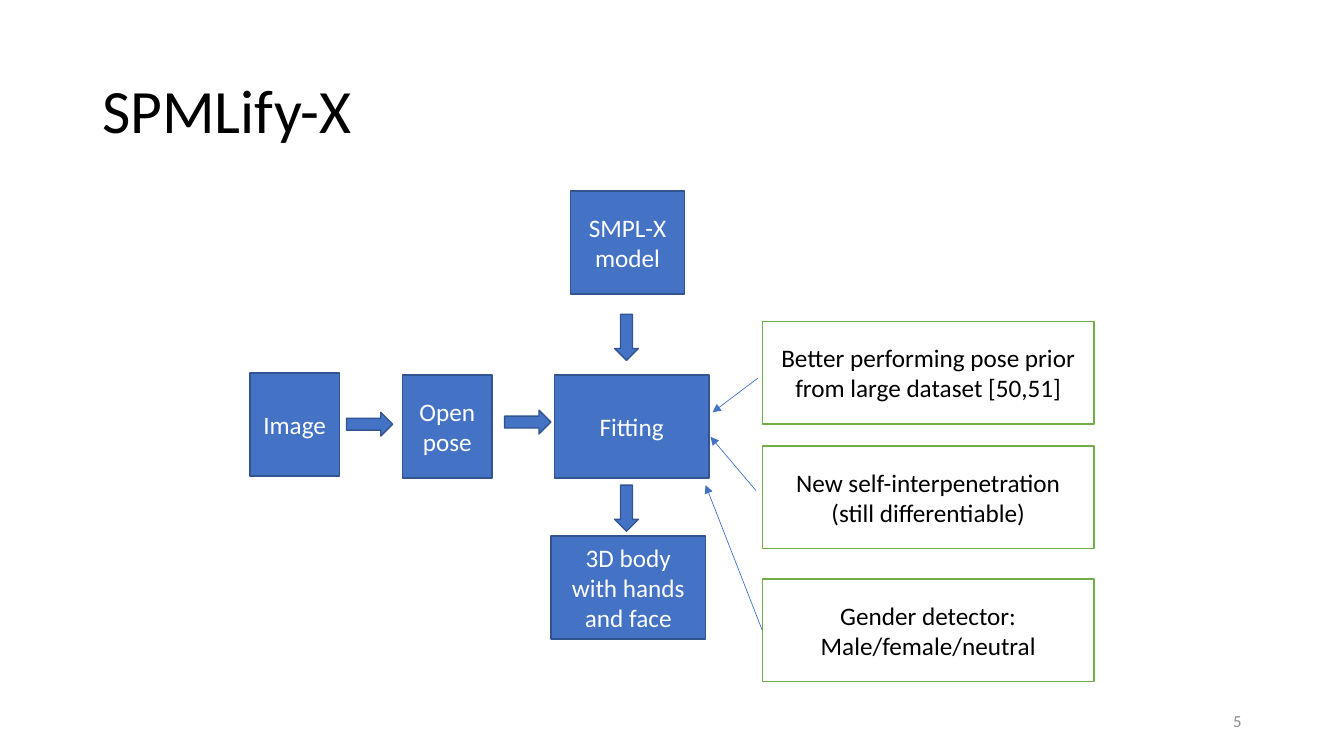
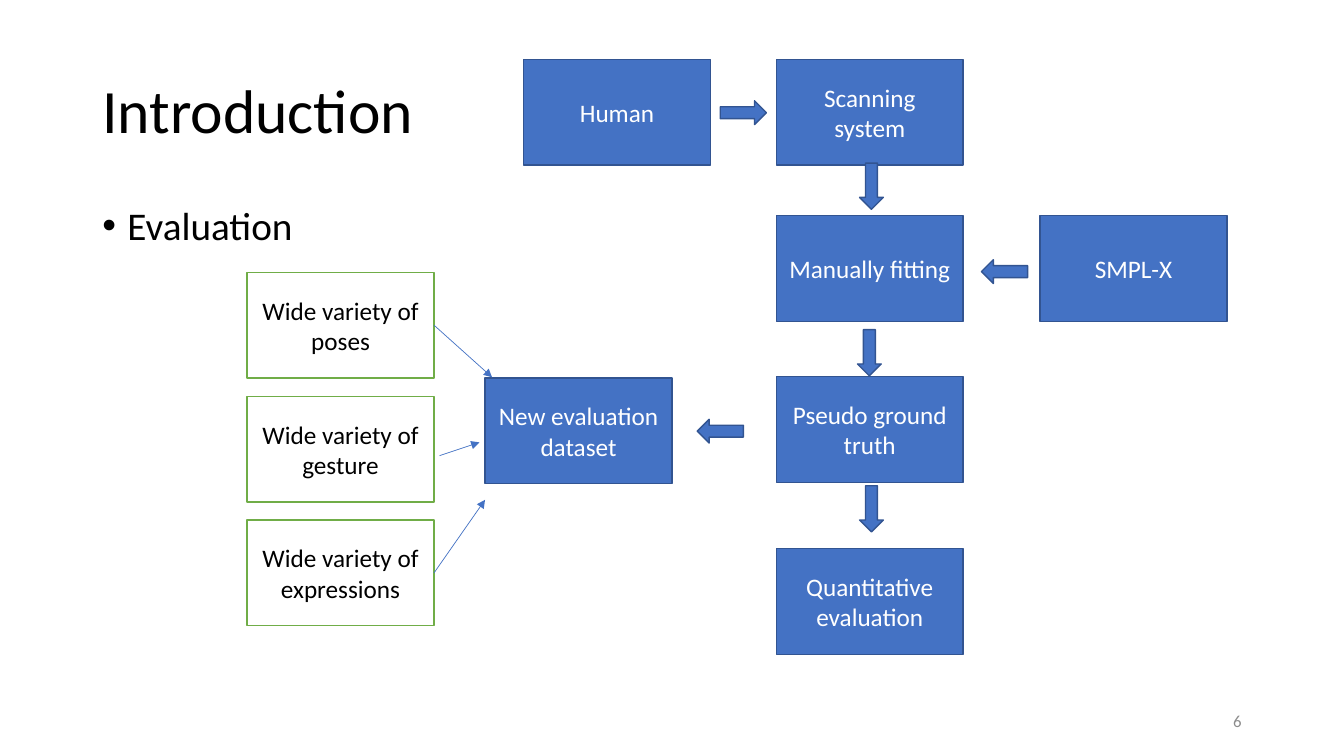
from lxml import etree
from pptx import Presentation
from pptx.dml.color import RGBColor
from pptx.enum.shapes import MSO_CONNECTOR, MSO_SHAPE
from pptx.enum.text import MSO_ANCHOR, PP_ALIGN
from pptx.oxml.ns import qn
from pptx.util import Pt

RECT, ARROW = MSO_SHAPE.RECTANGLE, MSO_SHAPE.RIGHT_ARROW
STRAIGHT = MSO_CONNECTOR.STRAIGHT
TOP, MIDDLE = MSO_ANCHOR.TOP, MSO_ANCHOR.MIDDLE
LEFT, CENTER, RIGHT = PP_ALIGN.LEFT, PP_ALIGN.CENTER, PP_ALIGN.RIGHT

FONT = "Calibri"
COLORS = {"blue": "4472C4", "edge": "325491", "green": "70AD47",
          "white": "FFFFFF", "black": "000000", "gray": "8C8C8C"}
# Kind of box: fill, outline, text
KINDS = {"step": ("blue", "edge", "white"), "note": ("white", "green", "black")}
TURNS = {"right": 0, "down": 90, "left": 180}
ARROW_W, ARROW_H = 33, 17
LEFT_SIDE, RIGHT_SIDE = 1, 3

STEP_H, NOTE_X, NOTE_W = 73.5, 544.5, 237
BOX_W, BOX_H = 133.5, 75.5
MAIN_X, SIDE_X = 554.5, 176.5
SIDE_Y, SIDE_GAP = 194.5, 13

# Boxes: text, left, top, width, height
# Arrows: direction, centre x, centre y
# Links: start (a point, or a box and its side), end point
SLIDES = [
    {
        "title": "SPMLify-X", "page": 5, "bullets": [],
        "step": [
            ("Image", 178.5, 266.5, 64, STEP_H),
            ("Open pose", 287.5, 268, 64, STEP_H),
            ("Fitting", 396, 268, 110.5, STEP_H),
            ("SMPL-X\nmodel", 407.5, 136.5, 81.5, STEP_H),
            ("3D body with hands and face", 393.5, 383, 110.5, STEP_H),
        ],
        "note": [
            ("Better performing pose prior from large dataset [50,51]",
             NOTE_X, 229.5, NOTE_W, STEP_H),
            ("New self-interpenetration\n(still differentiable)",
             NOTE_X, 318.5, NOTE_W, STEP_H),
            ("Gender detector:\nMale/female/neutral",
             NOTE_X, 413.5, NOTE_W, STEP_H),
        ],
        "arrows": [("right", 264, 303), ("right", 377, 301.5),
                   ("down", 447.5, 241), ("down", 447.5, 363)],
        "links": [((541.5, 270), (509, 294.5)),
                  ((540, 350.5), (507.5, 312)),
                  (("Gender detector:\nMale/female/neutral", LEFT_SIDE),
                   (504, 346.5))],
    },
    {
        "title": "Introduction", "page": 6, "bullets": ["Evaluation"],
        "step": [
            (text, x, y, BOX_W, BOX_H) for text, x, y in [
                ("New evaluation dataset", 346.5, 270),
                ("Human", 374, 42.5),
                ("Scanning system", MAIN_X, 42.5),
                ("Manually fitting", MAIN_X, 154),
                ("SMPL-X", 743, 154),
                ("Pseudo ground truth", MAIN_X, 269),
                ("Quantitative evaluation", MAIN_X, 392),
            ]
        ],
        "note": [
            (f"Wide variety of {trait}", SIDE_X,
             SIDE_Y + i * (BOX_H + SIDE_GAP), BOX_W, BOX_H)
            for i, trait in enumerate(["poses", "gesture", "expressions"])
        ],
        "arrows": [("right", 531, 80.5), ("down", 622.5, 133),
                   ("down", 621, 252), ("down", 622.5, 363.5),
                   ("left", 717.5, 194), ("left", 514.5, 308)],
        "links": [(("Wide variety of poses", RIGHT_SIDE), (351.5, 269.5)),
                  ((314, 325.5), (342.5, 316)),
                  (("Wide variety of expressions", RIGHT_SIDE), (346.5, 357))],
    },
]


def rgb(name):
    return RGBColor.from_string(COLORS[name])


def write(shape, text, size, color, align, anchor=MIDDLE):
    """Fill a shape with text, one paragraph a line, and return the paragraphs."""
    frame = shape.text_frame
    frame.word_wrap = True
    frame.vertical_anchor = anchor
    frame.text = text
    for para in frame.paragraphs:
        para.alignment = align
        para.font.name = FONT
        para.font.size = Pt(size)
        para.font.color.rgb = rgb(color)
    return frame.paragraphs


def add_text(slide, text, at, size, color, align, anchor=MIDDLE):
    box = slide.shapes.add_textbox(*map(Pt, at))
    return write(box, text, size, color, align, anchor)


def add_frame(slide, data):
    """Add the title, bullets and page number."""
    title = add_text(slide, data["title"], (66, 29, 828, 104), 44, "black", LEFT)
    title[0].line_spacing = 0.9
    if data["bullets"]:
        for para in add_text(slide, "\n".join(data["bullets"]),
                             (66, 144, 828, 343), 28, "black", LEFT, TOP):
            para.line_spacing = 0.9
            para.space_before = Pt(10)
            props = para._p.get_or_add_pPr()
            props.set("marL", str(Pt(18)))
            props.set("indent", str(-Pt(18)))
            font = etree.Element(qn("a:buFont"), typeface="Arial")
            mark = etree.Element(qn("a:buChar"), char="•")
            rest = props.find(qn("a:defRPr"))
            for node in (font, mark):
                rest.addprevious(node)
    add_text(slide, str(data["page"]), (678, 500.5, 216, 29), 12, "gray", RIGHT)


def add_solid(slide, form, at, fill, edge):
    shape = slide.shapes.add_shape(form, *map(Pt, at))
    shape.shadow.inherit = False
    shape.fill.solid()
    shape.fill.fore_color.rgb = rgb(fill)
    shape.line.color.rgb = rgb(edge)
    shape.line.width = Pt(1)
    return shape


def add_arrow(slide, way, x, y):
    at = (x - ARROW_W / 2, y - ARROW_H / 2, ARROW_W, ARROW_H)
    add_solid(slide, ARROW, at, "blue", "edge").rotation = TURNS[way]


def add_link(slide, start, end, boxes):
    joined = start[0] in boxes
    first = (0, 0) if joined else start
    link = slide.shapes.add_connector(STRAIGHT, *map(Pt, first + end))
    if joined:
        link.begin_connect(boxes[start[0]], start[1])
    link.line.color.rgb = rgb("blue")
    link.line.width = Pt(0.5)
    etree.SubElement(link.line._get_or_add_ln(), qn("a:tailEnd"), type="triangle")
    etree.SubElement(link._element.spPr, qn("a:effectLst"))


def build(slide, data):
    add_frame(slide, data)
    boxes = {}
    for kind, (fill, edge, ink) in KINDS.items():
        for text, *at in data[kind]:
            boxes[text] = add_solid(slide, RECT, at, fill, edge)
            write(boxes[text], text, 18, ink, CENTER)
    for arrow in data["arrows"]:
        add_arrow(slide, *arrow)
    for start, end in data["links"]:
        add_link(slide, start, end, boxes)


def main():
    deck = Presentation()
    deck.slide_width, deck.slide_height = Pt(960), Pt(540)
    blank = deck.slide_layouts[6]
    for data in SLIDES:
        build(deck.slides.add_slide(blank), data)
    deck.save("out.pptx")


if __name__ == "__main__":
    main()
